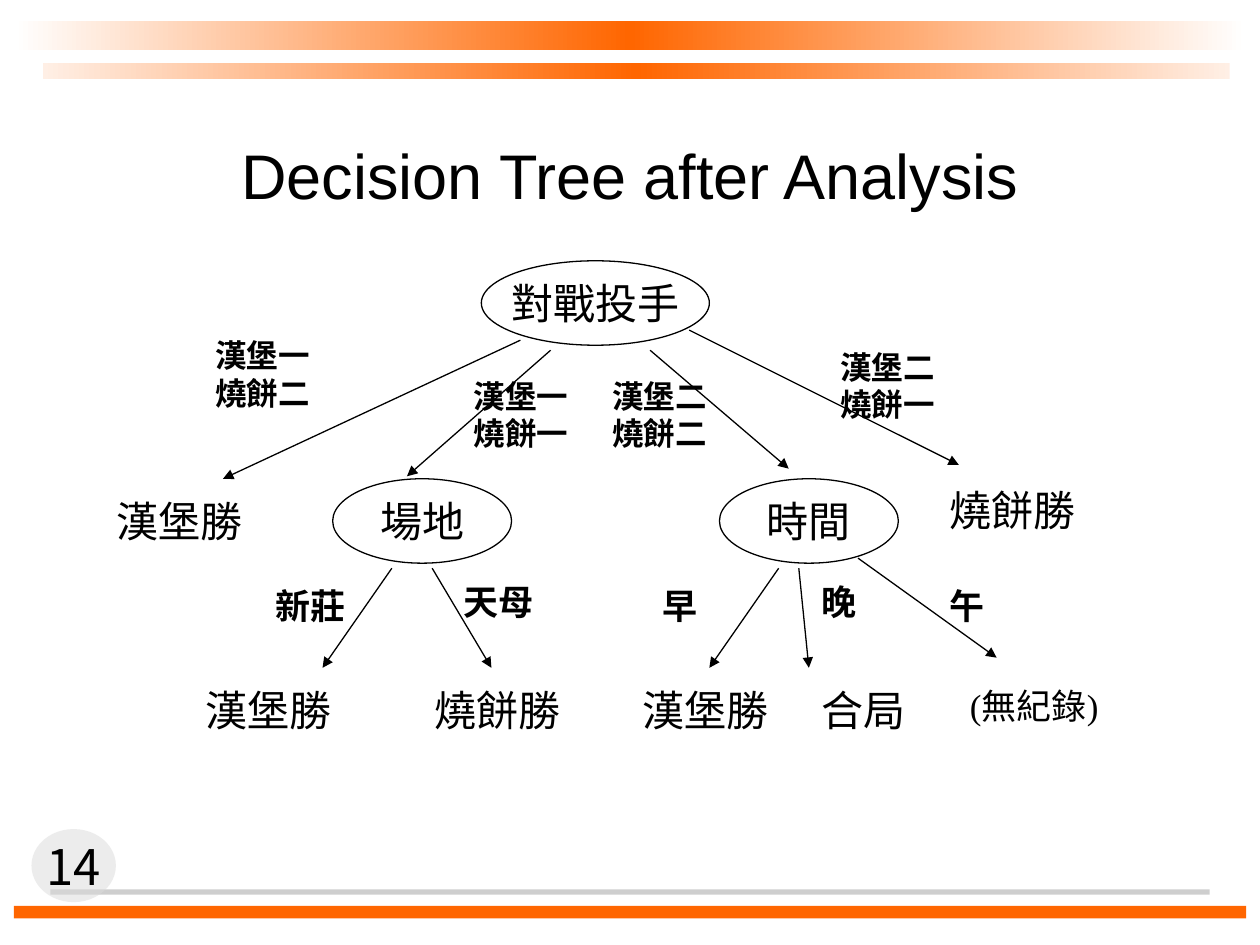
import copy
from dataclasses import dataclass

import lxml.etree
import pptx
import pptx.dml.color
import pptx.enum.shapes
import pptx.enum.text
import pptx.oxml.ns
import pptx.util

Inches = pptx.util.Inches
Pt = pptx.util.Pt
Shape = pptx.enum.shapes.MSO_SHAPE
Align = pptx.enum.text.PP_ALIGN
qn = pptx.oxml.ns.qn

COLOURS = {
    "ink": "000000",
    "paper": "FFFFFF",
    "orange": "FF6600",
    "pale_orange": "FFEFE5",
    "grey": "CECECE",
    "badge": "DADADA",
}
SERIF, SANS, CJK = "Times New Roman", "Arial", "Noto Sans CJK TC"


@dataclass
class Bar:
    left: float
    top: float
    width: float
    height: float
    colour: str
    edge: str = ""  # colour at both ends, if the bar is graded


@dataclass
class Node:
    text: str
    left: float
    top: float
    width: float


@dataclass
class Label:
    text: str
    left: float
    top: float
    width: float
    height: float
    size: int
    bold: bool = False


@dataclass
class Branch:
    start: tuple[float, float]
    end: tuple[float, float]


def rgb(name: str) -> pptx.dml.color.RGBColor:
    return pptx.dml.color.RGBColor.from_string(COLOURS[name])


def write(shape, text: str, size: int, font: str = SERIF, bold: bool = False,
          centred: bool = False, wrap: bool = True) -> None:
    frame = shape.text_frame
    frame.word_wrap = wrap
    frame.text = text
    if centred:
        frame.vertical_anchor = pptx.enum.text.MSO_ANCHOR.MIDDLE
    for para in frame.paragraphs:
        para.alignment = Align.CENTER if centred else Align.LEFT
        for span in para.runs:
            span.font.size = Pt(size)
            span.font.bold = bold
            span.font.name = font
            span.font.color.rgb = rgb("ink")
            east_asian = lxml.etree.Element(qn("a:ea"), typeface=CJK)
            span.font._element.find(qn("a:latin")).addnext(east_asian)


def add_shape(page, kind, left: float, top: float, width: float, height: float):
    shape = page.shapes.add_shape(
        kind, Inches(left), Inches(top), Inches(width), Inches(height))
    shape.shadow.inherit = False
    return shape


def draw_bar(page, bar: Bar) -> None:
    shape = add_shape(page, Shape.RECTANGLE, bar.left, bar.top, bar.width, bar.height)
    shape.line.fill.background()
    if not bar.edge:
        shape.fill.solid()
        shape.fill.fore_color.rgb = rgb(bar.colour)
        return
    shape.fill.gradient()
    shape.fill.gradient_angle = 0
    first = shape._element.spPr.find(".//" + qn("a:gs"))
    first.addnext(copy.deepcopy(first))
    stops = zip(shape.fill.gradient_stops, (0, 0.5, 1), (bar.edge, bar.colour, bar.edge))
    for stop, position, colour in stops:
        stop.position = position
        stop.color.rgb = rgb(colour)


def draw_badge(page, number: str) -> None:
    badge = add_shape(page, Shape.OVAL, 0.25, 6.58, 0.67, 0.58)
    badge.line.fill.background()
    badge.fill.solid()
    badge.fill.fore_color.rgb = rgb("badge")
    colour = badge._element.spPr.find(".//" + qn("a:srgbClr"))
    lxml.etree.SubElement(colour, qn("a:alpha"), val="50000")
    write(badge, number, 28, font=CJK, centred=True, wrap=False)


def draw_node(page, node: Node) -> None:
    oval = add_shape(page, Shape.OVAL, node.left, node.top, node.width, 0.67)
    oval.fill.background()
    oval.line.color.rgb = rgb("ink")
    oval.line.width = Pt(0.75)
    write(oval, node.text, 24, centred=True, wrap=False)


def draw_label(page, label: Label) -> None:
    box = page.shapes.add_textbox(Inches(label.left), Inches(label.top),
                                  Inches(label.width), Inches(label.height))
    write(box, label.text, label.size, bold=label.bold)
    box.text_frame.auto_size = pptx.enum.text.MSO_AUTO_SIZE.SHAPE_TO_FIT_TEXT


def draw_branch(page, branch: Branch) -> None:
    arrow = page.shapes.add_connector(
        pptx.enum.shapes.MSO_CONNECTOR.STRAIGHT,
        *(Inches(value) for value in branch.start + branch.end))
    arrow.line.color.rgb = rgb("ink")
    arrow.line.width = Pt(0.75)
    lxml.etree.SubElement(arrow.line._get_or_add_ln(), qn("a:tailEnd"), type="triangle")
    lxml.etree.SubElement(arrow._element.spPr, qn("a:effectLst"))


def pair(text: str, left: float, top: float) -> Label:
    return Label(text, left, top, 1.18, 0.7, 18, True)


def condition(text: str, left: float, top: float, width: float) -> Label:
    return Label(text, left, top, width, 0.44, 20, True)


def outcome(text: str, left: float, top: float = 5.38) -> Label:
    return Label(text, left, top, 1.23, 0.5, 24)


BARS = [
    Bar(0.11, 0.17, 9.78, 0.23, "orange", "paper"),
    Bar(0.34, 0.5, 9.42, 0.13, "orange", "pale_orange"),
    Bar(0.11, 7.19, 9.78, 0.1, "orange"),
    Bar(0.4, 7.06, 9.2, 0.04, "grey"),
]
NODES = [
    Node("對戰投手", 3.82, 2.07, 1.81),
    Node("場地", 2.64, 3.8, 1.42),
    Node("時間", 5.71, 3.8, 1.42),
]
BRANCHES = [
    # From the pitchers
    Branch((4.13, 2.7), (1.77, 3.8)),
    Branch((4.37, 2.78), (3.23, 3.78)),
    Branch((5.16, 2.78), (6.26, 3.72)),
    Branch((5.47, 2.62), (7.61, 3.69)),
    # From the venue
    Branch((3.11, 4.51), (2.56, 5.3)),
    Branch((3.43, 4.51), (3.9, 5.3)),
    # From the time of day
    Branch((6.18, 4.51), (5.63, 5.3)),
    Branch((6.34, 4.51), (6.42, 5.3)),
    Branch((6.81, 4.43), (7.91, 5.22)),
]
LABELS = [
    pair("漢堡一\n燒餅二", 1.61, 2.62),
    pair("漢堡一\n燒餅一", 3.66, 2.94),
    pair("漢堡二\n燒餅二", 4.76, 2.94),
    pair("漢堡二\n燒餅一", 6.57, 2.71),
    condition("新莊", 2.09, 4.59, 1.07),
    condition("天母", 3.58, 4.56, 1.07),
    condition("早", 5.16, 4.59, 1.07),
    condition("晚", 6.42, 4.56, 0.63),
    condition("午", 7.44, 4.59, 0.63),
    outcome("漢堡勝", 0.83, 3.88),
    outcome("燒餅勝", 7.44, 3.8),
    outcome("漢堡勝", 1.53),
    outcome("燒餅勝", 3.35),
    outcome("漢堡勝", 5),
    outcome("合局", 6.42),
    Label("(無紀錄)", 7.6, 5.38, 1.23, 0.77, 20),
]


def main() -> None:
    deck = pptx.Presentation()
    deck.slide_width, deck.slide_height = Inches(10), Inches(7.5)
    page = deck.slides.add_slide(deck.slide_layouts[6])

    # Frame of the page
    for bar in BARS:
        draw_bar(page, bar)
    draw_badge(page, "14")

    # Title
    title = page.shapes.add_textbox(Inches(0.75), Inches(0.75), Inches(8.5), Inches(1.27))
    write(title, "Decision Tree after Analysis", 36, font=SANS, centred=True)

    # Decision tree
    for branch in BRANCHES:
        draw_branch(page, branch)
    for node in NODES:
        draw_node(page, node)
    for label in LABELS:
        draw_label(page, label)

    deck.save("out.pptx")


if __name__ == "__main__":
    main()
